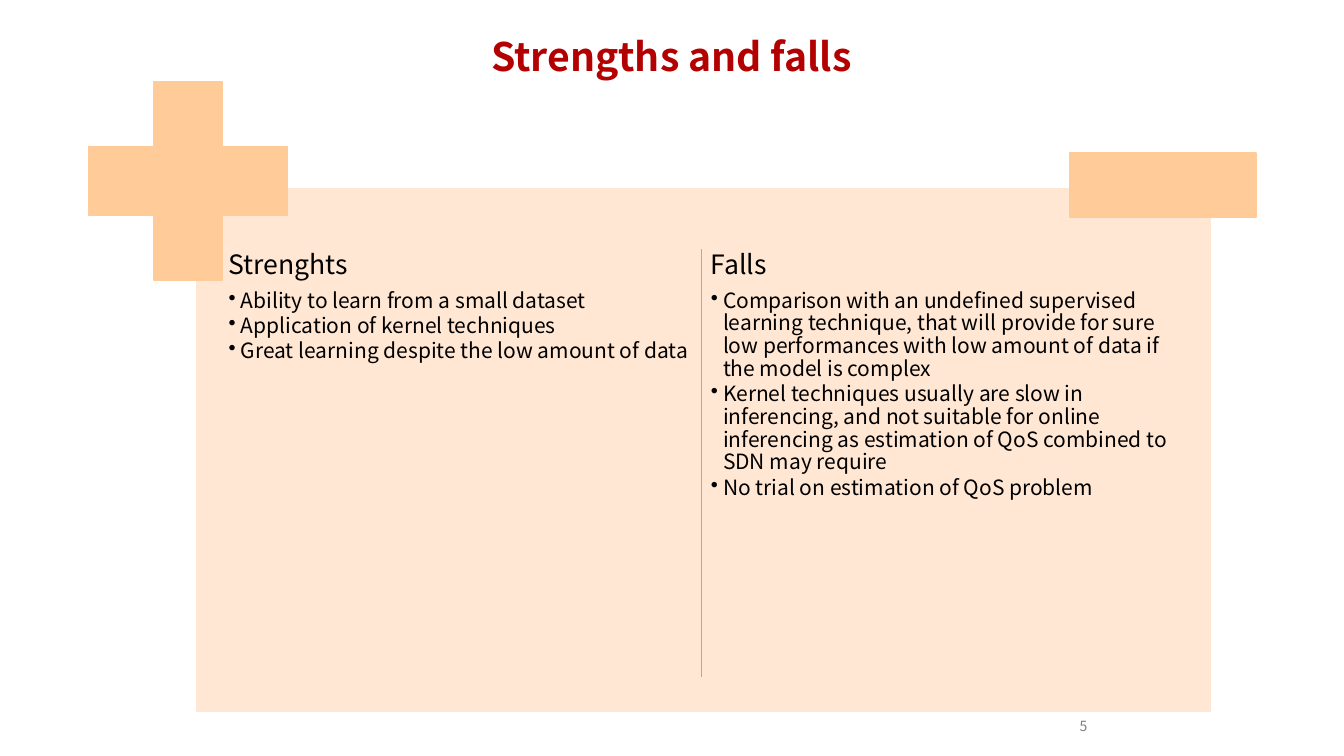
from dataclasses import dataclass

import lxml.etree
import pptx
import pptx.dml.color
import pptx.enum.shapes
import pptx.enum.text
import pptx.oxml.ns
import pptx.util

Pt = pptx.util.Pt
Align = pptx.enum.text.PP_ALIGN
Anchor = pptx.enum.text.MSO_ANCHOR
Preset = pptx.enum.shapes.MSO_SHAPE


@dataclass(frozen=True)
class Theme:
    font: str = "Noto Sans CJK SC"
    title: str = "B30000"
    text: str = "000000"
    number: str = "808080"
    panel: str = "FFE7D4"
    panel_edge: str = "FFFFFF"
    sign: str = "FFCC99"
    divider: str = "CCA37B"
    title_size: float = 28
    heading_size: float = 19
    point_size: float = 15
    number_size: float = 10


@dataclass(frozen=True)
class Box:
    left: float
    top: float
    width: float
    height: float

    def lengths(self) -> list:
        return [Pt(v) for v in (self.left, self.top, self.width, self.height)]


@dataclass(frozen=True)
class Block:
    preset: Preset
    box: Box
    fill: str
    edge: str


@dataclass(frozen=True)
class Column:
    left: float
    heading: str
    points: tuple[str, ...]


THEME = Theme()
COLUMN_TOP, COLUMN_WIDTH, COLUMN_HEIGHT = 177.1, 337, 320.4
COLUMN_INSET = 2.9
POINT_INDENT = 8.64
COLUMN_SPACING = 0.9

BLOCKS = (
    Block(Preset.RECTANGLE, Box(139.7, 133.9, 725.8, 375.1), THEME.panel, THEME.panel_edge),
    Block(Preset.CROSS, Box(63.4, 58.3, 141.8, 141.6), THEME.sign, THEME.sign),
    Block(Preset.RECTANGLE, Box(763.9, 109.4, 133.2, 45.7), THEME.sign, THEME.sign),
)

COLUMNS = (
    Column(160.4, "Strenghts", (
        "Ability to learn from a small dataset",
        "Application of kernel techniques",
        "Great learning despite the low amount of data",
    )),
    Column(504.9, "Falls", (
        "Comparison with an undefined supervised learning technique, that will provide "
        "for sure low performances with low amount of data if the model is complex",
        "Kernel techniques usually are slow in inferencing, and not suitable for online "
        "inferencing as estimation of QoS combined to SDN may require",
        "No trial on estimation of QoS problem",
    )),
)


def rgb(color: str) -> pptx.dml.color.RGBColor:
    return pptx.dml.color.RGBColor.from_string(color)


def add_frame(slide, box: Box, inset: float = 0, wrap: bool = True):
    frame = slide.shapes.add_textbox(*box.lengths()).text_frame
    frame.word_wrap = wrap
    frame.margin_left = frame.margin_right = Pt(inset)
    frame.margin_top = frame.margin_bottom = Pt(inset)
    return frame


def write(paragraph, text: str, size: float, color: str, spacing: float,
          after: float = 0, bold: bool = False) -> None:
    paragraph.text = text
    paragraph.line_spacing = spacing
    paragraph.space_after = Pt(after)
    paragraph.font.name = THEME.font
    paragraph.font.size = Pt(size)
    paragraph.font.bold = bold
    paragraph.font.color.rgb = rgb(color)


def add_bullet(paragraph) -> None:
    properties = paragraph._p.get_or_add_pPr()
    properties.set("marL", str(Pt(POINT_INDENT)))
    properties.set("indent", str(-Pt(POINT_INDENT)))
    bullet = lxml.etree.SubElement(properties, pptx.oxml.ns.qn("a:buChar"))
    bullet.set("char", "•")


def draw_block(slide, block: Block) -> None:
    shape = slide.shapes.add_shape(block.preset, *block.box.lengths())
    shape.shadow.inherit = False
    shape.fill.solid()
    shape.fill.fore_color.rgb = rgb(block.fill)
    shape.line.color.rgb = rgb(block.edge)
    shape.line.width = Pt(1)
    if block.preset == Preset.CROSS:
        shape.adjustments[0] = 0.328


def draw_column(slide, column: Column) -> None:
    box = Box(column.left, COLUMN_TOP, COLUMN_WIDTH, COLUMN_HEIGHT)
    frame = add_frame(slide, box, COLUMN_INSET)
    write(frame.paragraphs[0], column.heading, THEME.heading_size, THEME.text,
          COLUMN_SPACING, after=6.65)
    for point in column.points:
        paragraph = frame.add_paragraph()
        add_bullet(paragraph)
        write(paragraph, point, THEME.point_size, THEME.text, COLUMN_SPACING, after=1.9)


def draw_divider(slide, x: float, top: float, bottom: float) -> None:
    divider = slide.shapes.add_connector(
        pptx.enum.shapes.MSO_CONNECTOR.STRAIGHT, Pt(x), Pt(top), Pt(x), Pt(bottom))
    divider.line.color.rgb = rgb(THEME.divider)
    divider.line.width = Pt(1)
    lxml.etree.SubElement(divider._element.spPr, pptx.oxml.ns.qn("a:effectLst"))


def main() -> None:
    deck = pptx.Presentation()
    deck.slide_width, deck.slide_height = Pt(960), Pt(540)
    slide = deck.slides.add_slide(deck.slide_layouts[6])

    page_number = add_frame(slide, Box(771.1, 514.4, 25.9, 20))
    write(page_number.paragraphs[0], "5", THEME.number_size, THEME.number, 0.85)

    title = add_frame(slide, Box(40.3, 20.9, 878.4, 42.5), wrap=False)
    title.vertical_anchor = Anchor.MIDDLE
    title.paragraphs[0].alignment = Align.CENTER
    write(title.paragraphs[0], "Strengths and falls", THEME.title_size, THEME.title,
          0.9, bold=True)

    panel, *signs = BLOCKS
    draw_block(slide, panel)
    for column in COLUMNS:
        draw_column(slide, column)
    for sign in signs:
        draw_block(slide, sign)
    draw_divider(slide, 501.3, 177.8, 483.9)

    deck.save("out.pptx")


if __name__ == "__main__":
    main()
